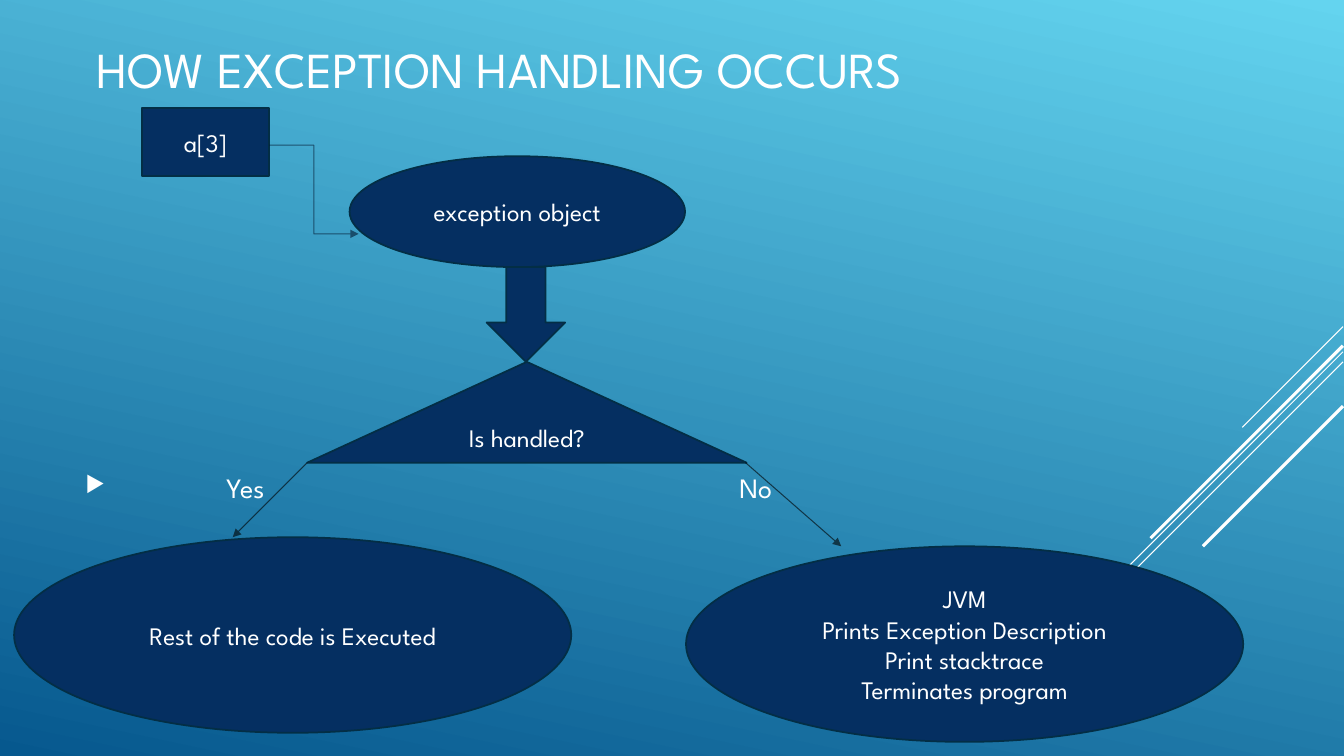
from lxml import etree
from pptx import Presentation
from pptx.dml.color import RGBColor
from pptx.enum.shapes import MSO_CONNECTOR, MSO_SHAPE
from pptx.enum.text import MSO_ANCHOR, PP_ALIGN
from pptx.oxml.ns import qn
from pptx.util import Inches, Pt

RECTANGLE, OVAL = MSO_SHAPE.RECTANGLE, MSO_SHAPE.OVAL
DOWN_ARROW, TRIANGLE = MSO_SHAPE.DOWN_ARROW, MSO_SHAPE.ISOSCELES_TRIANGLE
STRAIGHT, ELBOW = MSO_CONNECTOR.STRAIGHT, MSO_CONNECTOR.ELBOW
MIDDLE = MSO_ANCHOR.MIDDLE
LEFT, CENTER = PP_ALIGN.LEFT, PP_ALIGN.CENTER

FONT = "League Spartan"
WHITE = RGBColor(0xFF, 0xFF, 0xFF)
BLACK = RGBColor(0x00, 0x00, 0x00)
SKY = RGBColor(0x64, 0xD4, 0xEF)
OCEAN = RGBColor(0x06, 0x58, 0x8E)
NAVY = RGBColor(0x05, 0x2F, 0x61)
OUTLINE = RGBColor(0x03, 0x2E, 0x45)
ELBOW_BLUE = RGBColor(0x03, 0x18, 0x30)


def paint_background(slide):
    fill = slide.background.fill
    fill.gradient()
    fill.gradient_angle = 258
    for stop, color in zip(fill.gradient_stops, (SKY, OCEAN)):
        stop.color.rgb = color


def write(shape, text, size, align):
    frame = shape.text_frame
    frame.text = text
    frame.word_wrap = True
    frame.vertical_anchor = MIDDLE
    for paragraph in frame.paragraphs:
        paragraph.alignment = align
        for run in paragraph.runs:
            run.font.name = FONT
            run.font.size = Pt(size)
            run.font.color.rgb = WHITE


def place_title(slide, text):
    title = slide.shapes.title
    title.left, title.top = Inches(0.75), Inches(0.28)
    title.width, title.height = Inches(9.68), Inches(0.79)
    write(title, text, 36, LEFT)
    title.text_frame.margin_left = Inches(0.21)


def add_step(slide, kind, left, top, width, height, text=""):
    step = slide.shapes.add_shape(
        kind, Inches(left), Inches(top), Inches(width), Inches(height))
    step.shadow.inherit = False
    step.fill.solid()
    step.fill.fore_color.rgb = NAVY
    step.line.color.rgb = OUTLINE
    step.line.width = Pt(1.25)
    if text:
        write(step, text, 18, CENTER)


def add_line(slide, start, end, color, width=0.75, kind=STRAIGHT):
    connector = slide.shapes.add_connector(
        kind, *(Inches(value) for value in (*start, *end)))
    connector.line.color.rgb = color
    connector.line.width = Pt(width)
    etree.SubElement(connector._element.spPr, qn("a:effectLst"))
    return connector


def add_flow_arrow(slide, start, end, color, kind=STRAIGHT):
    arrow = add_line(slide, start, end, color, kind=kind)
    outline = arrow.line._get_or_add_ln()
    rgb = outline.find(".//" + qn("a:srgbClr"))
    etree.SubElement(rgb, qn("a:alpha"), val="60000")
    etree.SubElement(outline, qn("a:tailEnd"), type="triangle")


def add_branch_label(slide, left, width, text):
    label = slide.shapes.add_textbox(
        Inches(left), Inches(4.58), Inches(width), Inches(0.5))
    write(label, text, 20, LEFT)
    return label.text_frame.paragraphs[0]


def add_bullet(paragraph, indent):
    properties = paragraph._p.get_or_add_pPr()
    properties.set("marL", str(Inches(indent)))
    properties.set("indent", str(-Inches(indent)))
    color = etree.SubElement(properties, qn("a:buClr"))
    etree.SubElement(color, qn("a:srgbClr"), val=str(WHITE))
    etree.SubElement(properties, qn("a:buSzPct"), val="80000")
    etree.SubElement(properties, qn("a:buChar"), char="▶")


def main():
    prs = Presentation()
    prs.slide_width, prs.slide_height = Inches(13.34), Inches(7.5)
    slide = prs.slides.add_slide(prs.slide_layouts[5])
    paint_background(slide)

    # Diagonal rays, all at 45 degrees from the right edge
    for top, run, width in ((3.24, 1, 0.75), (3.49, 3.26, 0.75),
                            (3.59, 2.07, 0.75), (3.43, 1.91, 2.25),
                            (4.03, 1.39, 2.25)):
        add_line(slide, (13.33, top), (13.33 - run, top + run), WHITE, width)

    place_title(slide, "HOW EXCEPTION HANDLING OCCURS")

    # Branch labels
    yes = add_branch_label(slide, 0.75, 2.2, "Yes")
    add_bullet(yes, 1.4)
    add_branch_label(slide, 7.24, 0.7, "No")

    # Exception raised and tested
    add_step(slide, RECTANGLE, 1.41, 1.07, 1.26, 0.68, "a[3]")
    add_flow_arrow(slide, (2.67, 1.44), (3.56, 2.32), ELBOW_BLUE, ELBOW)
    add_step(slide, OVAL, 3.47, 1.55, 3.33, 1.1, "exception object")
    add_step(slide, DOWN_ARROW, 4.83, 2.65, 0.78, 0.94)
    add_step(slide, TRIANGLE, 3.05, 3.59, 4.36, 1, "Is handled?")

    # Outcomes
    add_flow_arrow(slide, (3.05, 4.59), (2.31, 5.33), BLACK)
    add_flow_arrow(slide, (7.4, 4.59), (8.35, 5.42), BLACK)
    add_step(slide, OVAL, 6.81, 5.42, 5.53, 1.94,
             "JVM\nPrints Exception Description\n"
             "Print stacktrace\nTerminates program")
    add_step(slide, OVAL, 0.14, 5.33, 5.53, 1.94,
             "Rest of the code is Executed")

    prs.save("out.pptx")


if __name__ == "__main__":
    main()
